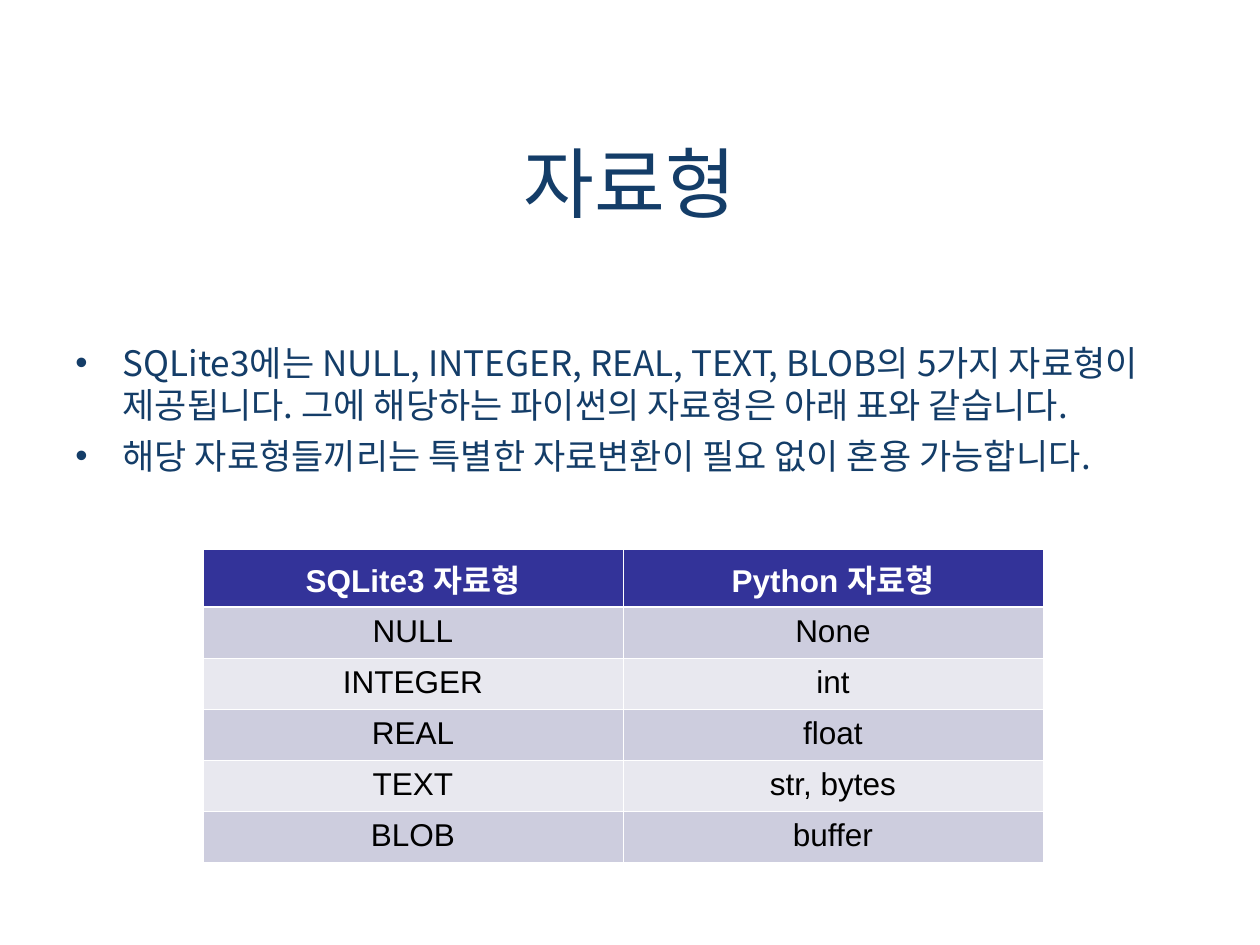
"""Build a slide that maps SQLite3 data types to Python data types."""
from dataclasses import dataclass

from lxml.etree import SubElement as Sub
from pptx import Presentation
from pptx.dml.color import RGBColor as RGB
from pptx.enum.text import MSO_ANCHOR as Anchor, PP_ALIGN as Align
from pptx.oxml.ns import qn
from pptx.util import Pt


@dataclass(frozen=True)
class Theme:
    navy: str = "143D68"
    head: str = "333399"
    odd: str = "CDCDDE"
    even: str = "E8E8EF"
    white: str = "FFFFFF"
    black: str = "000000"
    sans: str = "Arial"
    hangul: str = "Noto Sans CJK KR"
    title: int = 44
    body: int = 20
    cell: int = 18


theme = Theme()


def add_run(para, text, size, face, color, bold=False):
    run = para.add_run()
    run.text = text
    font = run.font
    font.size, font.name, font.bold = Pt(size), face, bold
    font.color.rgb = RGB.from_string(color)


def add_edge(props, side, width):
    line = Sub(props, qn(f"a:{side}"), w=str(Pt(width)))
    fill = Sub(line, qn("a:solidFill"))
    Sub(fill, qn("a:srgbClr"), val=theme.white)


deck = Presentation()
deck.slide_width, deck.slide_height = Pt(720), Pt(540)
slide = deck.slides.add_slide(deck.slide_layouts[6])
shapes = slide.shapes

title = shapes.add_textbox(Pt(36), Pt(59), Pt(648), Pt(90)).text_frame
title.word_wrap = True
title.vertical_anchor = Anchor.MIDDLE
para = title.paragraphs[0]
para.alignment = Align.CENTER
add_run(para, "자료형", theme.title, theme.hangul, theme.navy)

points = [
    "SQLite3에는 NULL, INTEGER, REAL, TEXT, BLOB의 5가지 자료형이 제공됩니다. "
    "그에 해당하는 파이썬의 자료형은 아래 표와 같습니다.",
    "해당 자료형들끼리는 특별한 자료변환이 필요 없이 혼용 가능합니다.",
]
body = shapes.add_textbox(Pt(36), Pt(191.5), Pt(648), Pt(332)).text_frame
body.word_wrap = True
body.margin_right = Pt(14)
for i, point in enumerate(points):
    para = body.add_paragraph() if i else body.paragraphs[0]
    para.space_before = Pt(5)
    props = para._p.get_or_add_pPr()
    props.set("marL", str(Pt(27)))
    props.set("indent", str(Pt(-27)))
    tint = Sub(props, qn("a:buClr"))
    Sub(tint, qn("a:srgbClr"), val=theme.navy)
    Sub(props, qn("a:buFont"), typeface=theme.sans)
    Sub(props, qn("a:buChar"), char="•")
    add_run(para, point, theme.body, theme.hangul, theme.navy)

rows = [
    ("SQLite3 자료형", "Python 자료형"),
    ("NULL", "None"),
    ("INTEGER", "int"),
    ("REAL", "float"),
    ("TEXT", "str, bytes"),
    ("BLOB", "buffer"),
]
frame = shapes.add_table(len(rows), 2, Pt(116), Pt(314), Pt(480), Pt(179))
table = frame.table
for r, row in enumerate(rows):
    top = r == 0
    table.rows[r].height = Pt(33 if top else 29.2)
    fill = theme.head if top else theme.odd if r % 2 else theme.even
    for c, text in enumerate(row):
        cell = table.cell(r, c)
        para = cell.text_frame.paragraphs[0]
        para.alignment = Align.CENTER
        color = theme.white if top else theme.black
        add_run(para, text, theme.cell, theme.sans, color, top)
        props = cell._tc.get_or_add_tcPr()
        for side in ("lnL", "lnR", "lnT", "lnB"):
            thick = (r, side) in ((0, "lnB"), (1, "lnT"))
            add_edge(props, side, 1.47 if thick else 0.45)
        cell.fill.solid()
        cell.fill.fore_color.rgb = RGB.from_string(fill)

deck.save("out.pptx")
